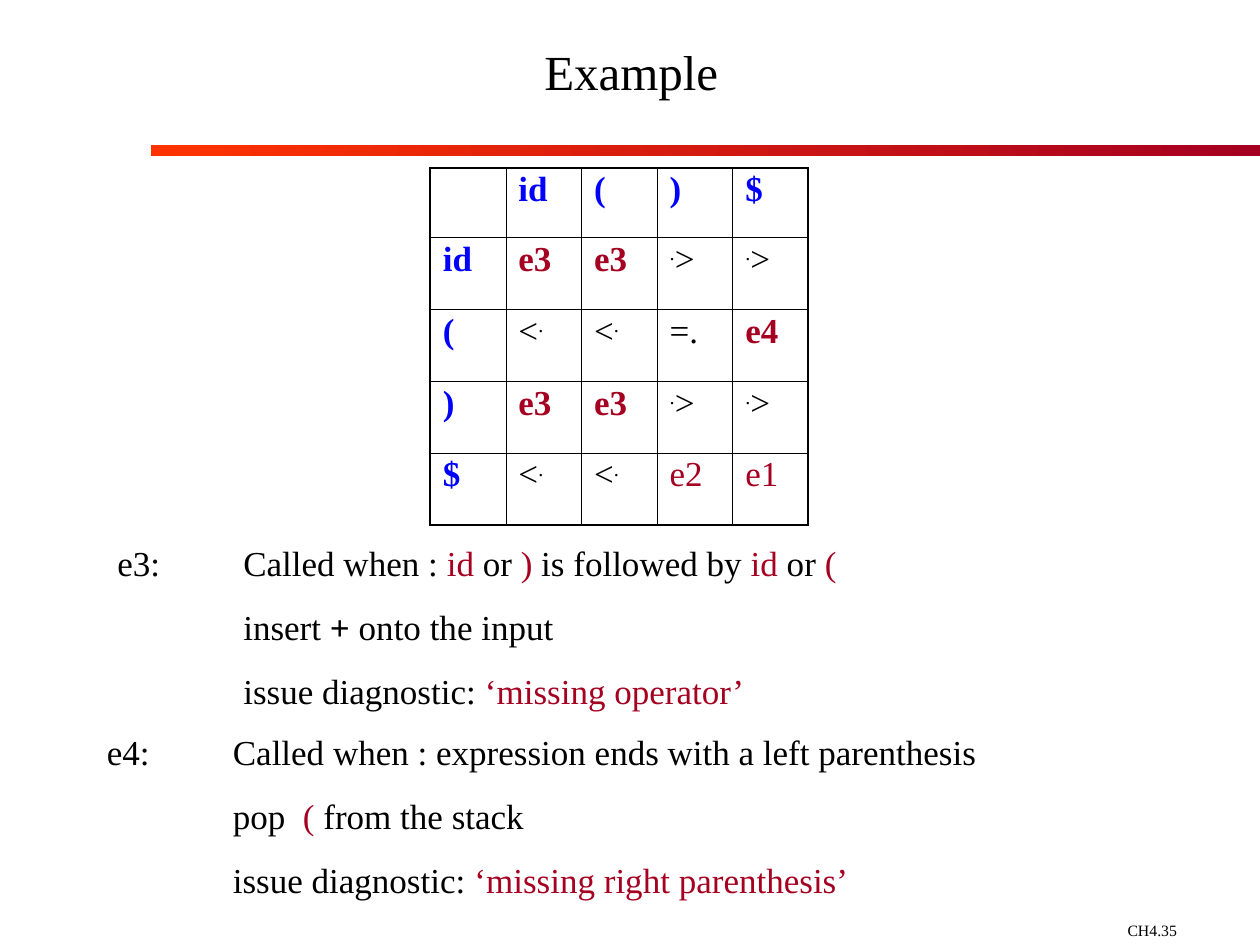
from lxml.etree import SubElement
from pptx import Presentation
from pptx.dml.color import RGBColor
from pptx.enum.shapes import MSO_SHAPE
from pptx.enum.text import MSO_ANCHOR, PP_ALIGN
from pptx.oxml.ns import qn
from pptx.util import Inches, Pt

WIDTH, HEIGHT = Inches(10), Inches(7.5)
COLUMN, ROW = WIDTH / 100, HEIGHT / 75
FONT = "Times New Roman"
BLACK = RGBColor(0x00, 0x00, 0x00)
BLUE = RGBColor(0x00, 0x00, 0xFF)
CRIMSON = RGBColor(0xA5, 0x00, 0x21)
ORANGE = RGBColor(0xFF, 0x33, 0x00)
THIN, THICK = Pt(0.45), Pt(1.08)

SYMBOLS = ["id", "(", ")", "$"]
RELATIONS = [
    ["e3", "e3", ".>", ".>"],
    ["<.", "<.", "=.", "e4"],
    ["e3", "e3", ".>", ".>"],
    ["<.", "<.", "e2", "e1"],
]
MISSING_OPERATOR = [
    [("e3:\tCalled when : ", BLACK), ("id", CRIMSON), (" or ", BLACK), (")", CRIMSON),
     (" is followed by ", BLACK), ("id", CRIMSON), (" or ", BLACK), ("(", CRIMSON)],
    [("\tinsert ", BLACK), ("+", BLACK, True), (" onto the input", BLACK)],
    [("\tissue diagnostic: ", BLACK), ("‘missing operator’", CRIMSON)],
]
MISSING_PARENTHESIS = [
    [("e4:\tCalled when : expression ends with a left parenthesis", BLACK)],
    [("\tpop  ", BLACK), ("(", CRIMSON), (" from the stack", BLACK)],
    [("\tissue diagnostic: ", BLACK), ("‘missing right parenthesis’", CRIMSON)],
]


def area(left, top, width, height):
    return (round(left * COLUMN), round(top * ROW),
            round(width * COLUMN), round(height * ROW))


def set_font(paragraph, size):
    paragraph.font.name = FONT
    paragraph.font.size = Pt(size)


def add_tab(paragraph, columns):
    tabs = SubElement(paragraph._p.get_or_add_pPr(), qn("a:tabLst"))
    SubElement(tabs, qn("a:tab"), pos=str(round(columns * COLUMN)), algn="l")


def add_run(paragraph, text, color, bold=False):
    run = paragraph.add_run()
    run.text = text
    run.font.color.rgb = color
    run.font.bold = bold
    return run


def add_text(slide, place, lines, size, tab=None):
    frame = slide.shapes.add_textbox(*place).text_frame
    frame.word_wrap = True
    for index, runs in enumerate(lines):
        paragraph = frame.add_paragraph() if index else frame.paragraphs[0]
        if tab:
            add_tab(paragraph, tab)
        set_font(paragraph, size)
        if index:
            paragraph.space_before = Pt(12.5)
        for run in runs:
            add_run(paragraph, *run)
    return frame


def add_title(slide, text):
    title = add_text(slide, area(6, 0, 88.2, 12.2), [[(text, BLACK)]], 28)
    title.vertical_anchor = MSO_ANCHOR.MIDDLE
    title.paragraphs[0].alignment = PP_ALIGN.CENTER
    title.paragraphs[0].line_spacing = 0.8


def add_rule(slide):
    rule = slide.shapes.add_shape(MSO_SHAPE.RECTANGLE, *area(12, 11.5, 88, 0.9))
    rule.shadow.inherit = False
    rule.line.fill.background()
    rule.fill.gradient()
    rule.fill.gradient_angle = 0
    for stop, color in zip(rule.fill.gradient_stops, (ORANGE, CRIMSON)):
        stop.color.rgb = color


def set_borders(cell, widths):
    properties = cell._tc.get_or_add_tcPr()
    for side, width in zip("LRTB", widths):
        border = SubElement(properties, qn(f"a:ln{side}"), w=str(width))
        fill = SubElement(border, qn("a:solidFill"))
        SubElement(fill, qn("a:srgbClr"), val=str(BLACK))
    cell.fill.background()


def write_relation(paragraph, text):
    if text.startswith("e"):
        add_run(paragraph, text, CRIMSON, text in ("e3", "e4"))
    elif text == "=.":
        add_run(paragraph, text, BLACK)
    else:
        for symbol in text:
            run = add_run(paragraph, symbol, BLACK)
            if symbol == ".":
                run._r.get_or_add_rPr().set("baseline", "30000")


def add_precedence_table(slide):
    rows = [["", *SYMBOLS]]
    rows += [[symbol, *relations] for symbol, relations in zip(SYMBOLS, RELATIONS)]
    last = len(SYMBOLS)
    table = slide.shapes.add_table(
        last + 1, last + 1, *area(34.15, 13.33, 30, 28.34)).table
    table.first_row = table.horz_banding = False
    for r, texts in enumerate(rows):
        table.rows[r].height = round((5.71 if r else 5.5) * ROW)
        for c, text in enumerate(texts):
            cell = table.cell(r, c)
            outer = (c == 0, c == last, r == 0, r == last)
            set_borders(cell, [THICK if edge else THIN for edge in outer])
            paragraph = cell.text_frame.paragraphs[0]
            paragraph.line_spacing = 0.89
            set_font(paragraph, 20)
            if r and c:
                write_relation(paragraph, text)
            elif text:
                add_run(paragraph, text, BLUE, True)


def main():
    deck = Presentation()
    deck.slide_width, deck.slide_height = WIDTH, HEIGHT
    slide = deck.slides.add_slide(deck.slide_layouts[6])
    add_rule(slide)
    add_text(slide, area(88.5, 72.6, 11.5, 2.4), [[("CH4.35", BLACK)]], 9)
    add_title(slide, "Example")
    add_precedence_table(slide)
    add_text(slide, area(8.33, 42.5, 78.3, 14.5), MISSING_OPERATOR, 20, tab=10)
    add_text(slide, area(7.5, 57.5, 78.3, 14.5), MISSING_PARENTHESIS, 20, tab=10)
    deck.save("out.pptx")


if __name__ == "__main__":
    main()
